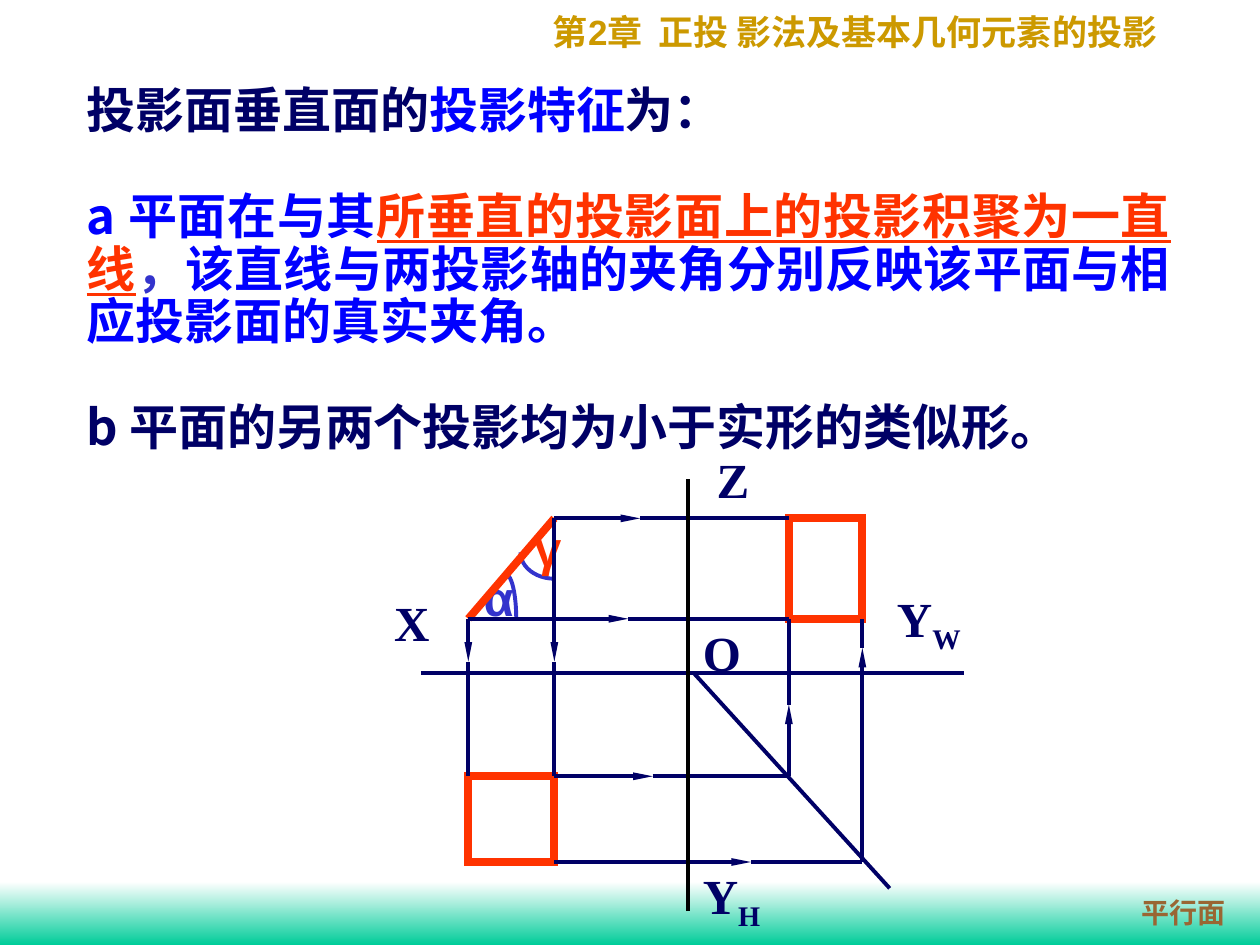
from lxml.etree import SubElement
from pptx import Presentation
from pptx.dml.color import RGBColor
from pptx.enum.shapes import MSO_CONNECTOR, MSO_SHAPE
from pptx.enum.text import MSO_ANCHOR, PP_ALIGN
from pptx.oxml.ns import qn
from pptx.util import Pt

WHITE = RGBColor(0xFF, 0xFF, 0xFF)
BLACK = RGBColor(0, 0, 0)
GREEN = RGBColor(0x00, 0xCC, 0x99)
GOLD = RGBColor(0xCC, 0x99, 0x00)
BROWN = RGBColor(0x99, 0x66, 0x33)
NAVY = RGBColor(0x00, 0x00, 0x66)
BLUE = RGBColor(0x00, 0x00, 0xFF)
INDIGO = RGBColor(0x33, 0x33, 0xCC)
RED = RGBColor(0xFF, 0x33, 0x00)

SERIF, SANS, CJK = "Times New Roman", "Arial", "Noto Sans CJK SC"
THIN, THICK = 2.25, 4.5
BODY_LINE = 30.2


def add_run(p, text, size=28, font=SERIF, color=NAVY, underline=None, baseline=None):
    r = p.add_run()
    r.text = text
    f = r.font
    f.size, f.name, f.bold, f.underline = Pt(size), font, True, underline
    f.color.rgb = color
    rPr = r._r.get_or_add_rPr()
    SubElement(rPr, qn("a:ea")).set("typeface", CJK)
    if baseline is not None:
        rPr.set("baseline", str(baseline * 1000))


def add_text(slide, box, paragraphs, align=PP_ALIGN.LEFT, anchor=MSO_ANCHOR.TOP,
             wrap=True, line=None, gap=0, **fmt):
    """Each paragraph is a list of (text, format) runs; fmt holds the shared format."""
    tf = slide.shapes.add_textbox(*map(Pt, box)).text_frame
    tf.word_wrap, tf.vertical_anchor = wrap, anchor
    for i, runs in enumerate(paragraphs):
        p = tf.add_paragraph() if i else tf.paragraphs[0]
        p.alignment = align
        if line:
            p.line_spacing = Pt(line)
        if i and gap:
            p.space_before = Pt(gap)
        for text, own in runs:
            add_run(p, text, **{**fmt, **own})


def add_line(slide, x1, y1, x2, y2, color=NAVY, width=THIN, arrow=False):
    c = slide.shapes.add_connector(MSO_CONNECTOR.STRAIGHT, *map(Pt, (x1, y1, x2, y2)))
    c.line.color.rgb, c.line.width = color, Pt(width)
    if arrow:
        tail = SubElement(c.line._get_or_add_ln(), qn("a:tailEnd"))
        for key, value in (("type", "triangle"), ("w", "sm"), ("len", "lg")):
            tail.set(key, value)
    SubElement(c._element.spPr, qn("a:effectLst"))


def add_outline(slide, kind, box, color, width):
    sp = slide.shapes.add_shape(kind, *map(Pt, box))
    sp.shadow.inherit = False
    sp.fill.background()
    sp.line.color.rgb, sp.line.width = color, Pt(width)
    SubElement(sp.line._get_or_add_ln(), qn("a:miter")).set("lim", "800000")
    return sp


def footer_band(slide, box):
    x, y, w, h = box
    sp = slide.shapes.add_shape(MSO_SHAPE.RECTANGLE, *map(Pt, box))
    sp.shadow.inherit = False
    sp.line.fill.background()
    sp.fill.gradient()
    sp.fill.gradient_angle = 270
    for stop, color, pos in zip(sp.fill.gradient_stops, (WHITE, GREEN), (0, 1)):
        stop.color.rgb, stop.position = color, pos
    add_text(slide, (x + w - 83.5, y + 3.6, 79.2, 26.6), [[("平行面", {})]],
             align=PP_ALIGN.CENTER, anchor=MSO_ANCHOR.MIDDLE, line=19.5,
             size=16, font="Cambria", color=BROWN)


def chapter_header(slide, box):
    add_text(slide, box, [[("第", {}), ("2", {"font": SANS}),
                           ("章  正投 影法及基本几何元素的投影", {})]],
             size=20, color=GOLD, line=23.6)


def projection_rules(slide, box):
    blue = {"color": BLUE}
    add_text(slide, box, [
        [("投影面垂直面的", {}), ("投影特征", blue), ("为：", {})],
        [("a 平面在与其", blue),
         ("所垂直的投影面上的投影积聚为一直线", {"color": RED, "underline": True}),
         ("，", {"color": INDIGO}),
         ("该直线与两投影轴的夹角分别反映该平面与相应投影面的真实夹角。", blue)],
        [("b 平面的另两个投影均为小于实形的类似形。", {})],
    ], align=PP_ALIGN.JUSTIFY, line=BODY_LINE, gap=BODY_LINE, font=CJK)


def angle_mark(slide, x, y, rx, ry, start, end):
    """Quarter arc about (x, y), clockwise between two angles from 0 to 360 degrees."""
    arc = add_outline(slide, MSO_SHAPE.ARC, (x - rx, y - ry, 2 * rx, 2 * ry), INDIGO, THIN)
    for i, angle in enumerate((start, end)):
        arc.adjustments[i] = angle * 0.6  # 60000 units per degree, scaled by 100000


def three_view_diagram(slide, box):
    left, top, w, h = box
    # Columns of the front and side views, rows of the front and top views
    x1, x2, x3, x4 = (left + d for d in (49.4, 98.6, 232.6, 274.6))
    y1, y2, y3, y4 = (top + d for d in (43.2, 100.6, 190.6, 239.6))
    ox, oy = left + 175.2, top + 131.6

    angle_mark(slide, x1 + 21.6, y2, 5.8, 25.2, 270, 0)
    angle_mark(slide, x2, y1 + 19.4, 19.4, 15.1, 90, 180)
    labels = [
        ("α", "", 51.1, 68, SANS, INDIGO),
        ("γ", "", 79.9, 39.2, SANS, RED),
        ("Y", "H", 176.4, 238, SERIF, NAVY),
        ("Z", "", 184.3, 0.4, SERIF, NAVY),
        ("O", "", 176.4, 99, SERIF, NAVY),
        ("X", "", 0, 82, SERIF, NAVY),
        ("Y", "W", 287.3, 79.8, SERIF, NAVY),
    ]
    for name, sub, dx, dy, font, color in labels:
        runs = [(name, {})] + ([(sub, {"baseline": -25})] if sub else [])
        add_text(slide, (left + dx, top + dy, 72, 41), [runs], font=font, color=color)

    add_line(slide, left + 22.3, oy, left + 332.6, oy)
    add_line(slide, ox + 3, oy, left + 290.2, top + 254.6)

    # Inclined plane: a line in the front view, similar shapes in the others
    add_line(slide, x1, y2, x2, y1, RED, THICK)
    for x, y, xe, ye in ((x1, y3, x2, y4), (x3, y1, x4, y2)):
        add_outline(slide, MSO_SHAPE.RECTANGLE, (x, y, xe - x, ye - y), RED, THICK)

    # Each projector: start, arrow point, end
    projectors = [
        ((x2, y1), (x2 + 49, y1), (x3, y1)),
        ((x1, y2), (x1 + 91.4, y2), (x3, y2)),
        ((x2, y1), (x2, oy - 6.5), (x2, y3)),
        ((x1, y2), (x1, oy - 6.5), (x1, y3)),
        ((x2, y3), (x2 + 56.2, y3), (x3, y3)),
        ((x2, y4), (x2 + 112.3, y4), (x4, y4)),
        ((x3, y3), (x3, y3 - 41), (x3, y2)),
        ((x4, y4), (x4, y4 - 122.4), (x4, y2)),
    ]
    for start, tip, end in projectors:
        add_line(slide, *start, *tip, arrow=True)
        add_line(slide, *tip, *end)
    add_line(slide, ox, top + 267.6, ox, top + 21, BLACK)


def main():
    prs = Presentation()
    prs.slide_width, prs.slide_height = Pt(720), Pt(540)
    slide = prs.slides.add_slide(prs.slide_layouts[6])
    footer_band(slide, (0, 504, 720, 36))
    chapter_header(slide, (308.9, 2.9, 380.9, 31.7))
    projection_rules(slide, (42.5, 45.4, 633.6, 218.9))
    three_view_diagram(slide, (218.2, 253, 337.7, 283.4))
    prs.save("out.pptx")


if __name__ == "__main__":
    main()
